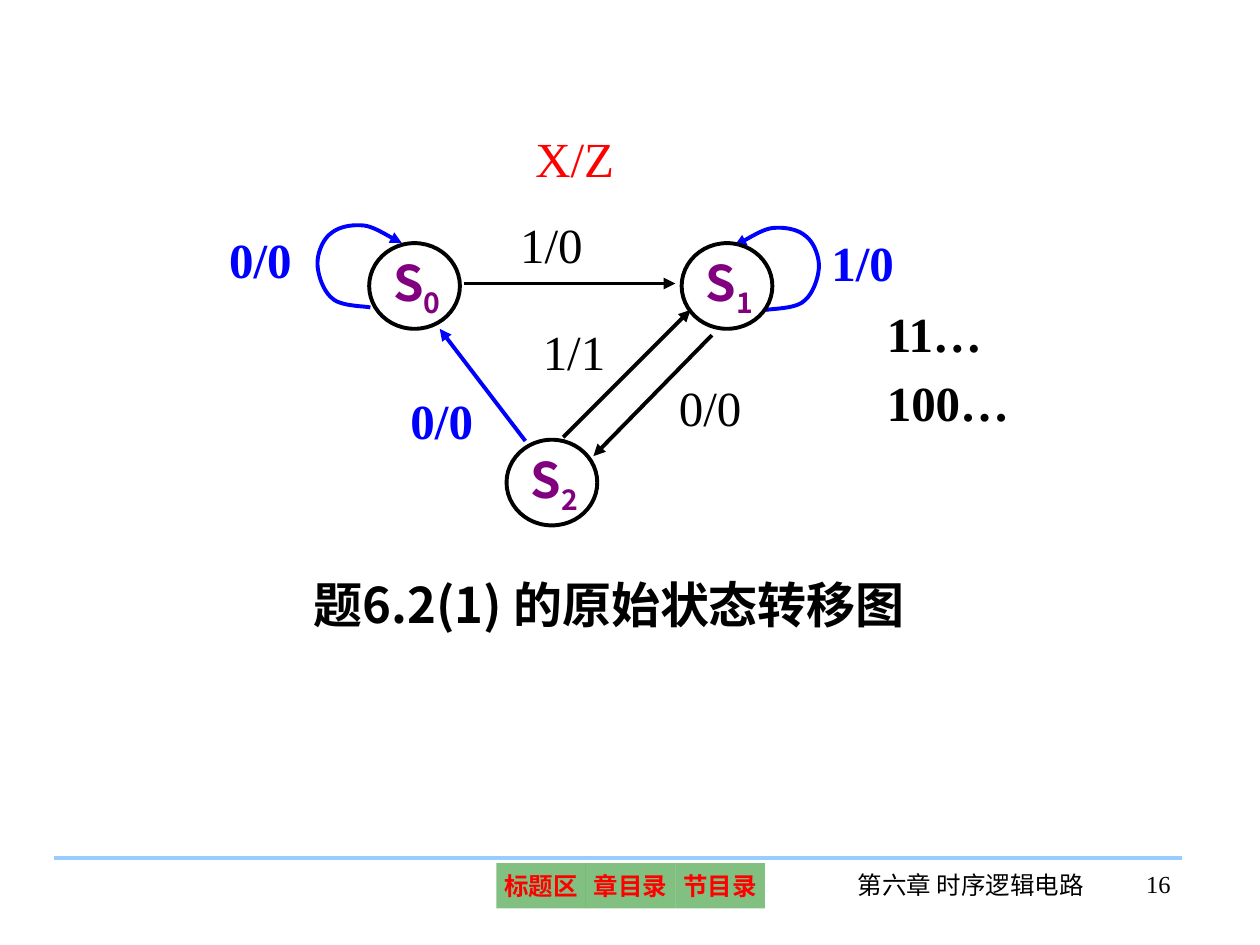
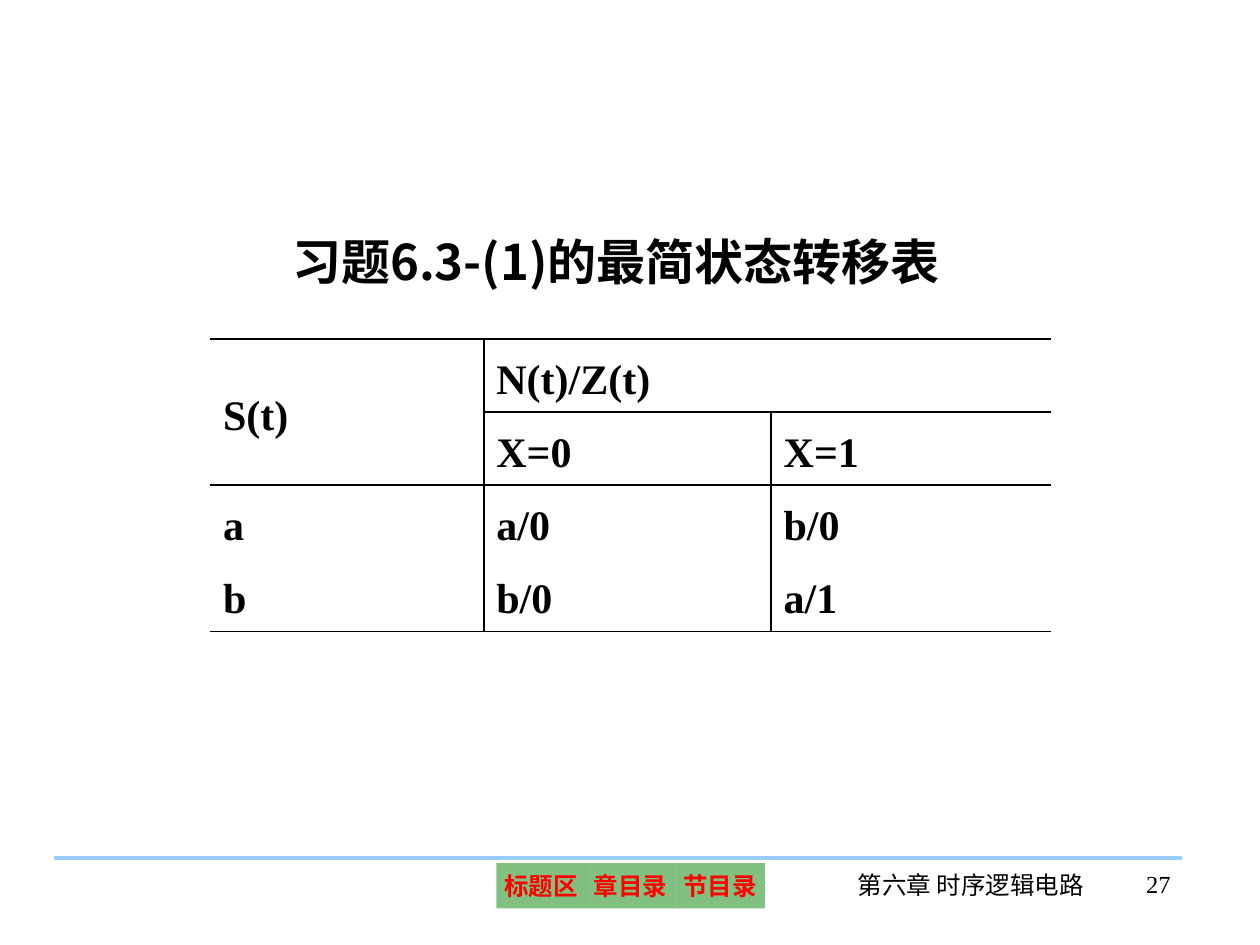
from lxml import etree
from pptx import Presentation
from pptx.dml.color import RGBColor
from pptx.enum import shapes, text
from pptx.oxml.ns import qn
from pptx.util import Inches, Pt

BLACK = RGBColor(0, 0, 0)
BLUE = RGBColor(0, 0, 255)
RED = RGBColor(255, 0, 0)
PURPLE = RGBColor(128, 0, 128)
GREEN = RGBColor(0, 128, 0)
SKY = RGBColor(0x99, 0xCC, 0xFF)
SERIF, SANS = "Times New Roman", "Noto Sans CJK SC"

CHAPTER = "第六章 时序逻辑电路"
BUTTONS = ["标题区", "章目录", "节目录"]

DIAGRAM_TITLE = "题6.2(1) 的原始状态转移图"
STATES = [("0", 2.93, 1.93), ("1", 5.41, 1.93), ("2", 4.02, 3.49)]
TRANSITIONS = [  # start, end, colour
    ((3.68, 2.25), (5.36, 2.25), BLACK),
    ((5.65, 2.66), (4.71, 3.62), BLACK),
    ((4.47, 3.47), (5.48, 2.46), BLACK),
    ((4.17, 3.5), (3.49, 2.61), BLUE),
]
LABELS = [  # wording, left, top, width, colour, bold
    ("X/Z", 4.15, 0.97, 0.96, RED, False),
    ("1/0", 4.03, 1.65, 0.77, BLACK, False),
    ("1/1", 4.21, 2.5, 0.77, BLACK, False),
    ("0/0", 5.29, 2.95, 0.77, BLACK, False),
    ("0/0", 1.72, 1.77, 0.77, BLUE, True),
    ("1/0", 6.5, 1.8, 0.77, BLUE, True),
    ("0/0", 3.16, 3.05, 0.77, BLUE, True),
    ("11…", 6.94, 2.36, 1.57, BLACK, True),
    ("100…", 6.94, 2.91, 1.63, BLACK, True),
]
# Cubic curve: a start point, then two control points and an end point per piece
LOOP_S0 = [
    (2.94, 2.44), (2.89, 2.43), (2.7, 2.43), (2.64, 2.37),
    (2.57, 2.32), (2.52, 2.18), (2.52, 2.09),
    (2.52, 2.01), (2.56, 1.9), (2.63, 1.85),
    (2.69, 1.8), (2.79, 1.78), (2.89, 1.79),
    (2.98, 1.8), (3.12, 1.9), (3.19, 1.93),
]
LOOP_S1 = [(9.02 - x, y + 0.02) for x, y in LOOP_S0]

TABLE_TITLE = "习题6.3-(1)的最简状态转移表"
STATE_TABLE = [
    ["S(t)", "N(t)/Z(t)", ""],
    ["", "X=0", "X=1"],
    ["a", "a/0", "b/0"],
    ["b", "b/0", "a/1"],
]
COLUMN_WIDTHS = [2.17, 2.28, 2.22]
ROW_HEIGHT = 0.58
NO_GRID_STYLE = "{2D5ABB26-0587-4C30-8999-92F81FD0307C}"


def box(*lengths):
    return [Inches(length) for length in lengths]


def format_runs(paragraph, size, color, bold=False, latin=SERIF):
    for run in paragraph.runs:
        run.font.size, run.font.bold = Pt(size), bold
        run.font.color.rgb = color
        run.font.name = latin
        etree.SubElement(run._r.get_or_add_rPr(), qn("a:ea"), typeface=SANS)


def set_insets(frame, left, top, right, bottom):
    frame.margin_left, frame.margin_top = Inches(left), Inches(top)
    frame.margin_right, frame.margin_bottom = Inches(right), Inches(bottom)


def add_label(slide, wording, place, size, color, bold=False, align=text.PP_ALIGN.LEFT):
    frame = slide.shapes.add_textbox(*box(*place)).text_frame
    frame.word_wrap = True
    frame.text = wording
    frame.paragraphs[0].alignment = align
    format_runs(frame.paragraphs[0], size, color, bold)


def style_line(shape, color, arrow=False):
    shape.line.color.rgb = color
    shape.line.width = Pt(2.25)
    if arrow:
        etree.SubElement(shape.line._get_or_add_ln(), qn("a:tailEnd"), type="triangle")


def add_straight(slide, start, end, color, arrow=False):
    line = slide.shapes.add_connector(
        shapes.MSO_CONNECTOR.STRAIGHT, *box(*start, *end))
    style_line(line, color, arrow)
    etree.SubElement(line._element.spPr, qn("a:effectLst"))


def curve_points(curve, steps=12):
    """Points along a chain of cubic Bezier pieces, without its start."""
    points = []
    for first in range(0, len(curve) - 1, 3):
        piece = curve[first:first + 4]
        for step in range(1, steps + 1):
            t = step / steps
            weights = ((1 - t) ** 3, 3 * t * (1 - t) ** 2, 3 * t * t * (1 - t), t ** 3)
            points.append(tuple(
                Inches(sum(w * p[axis] for w, p in zip(weights, piece)))
                for axis in (0, 1)))
    return points


def add_loop(slide, curve):
    builder = slide.shapes.build_freeform(*box(*curve[0]))
    builder.add_line_segments(curve_points(curve), close=False)
    loop = builder.convert_to_shape()
    loop.shadow.inherit = False
    loop.fill.background()
    style_line(loop, BLUE, arrow=True)


def add_state(slide, index, left, top):
    state = slide.shapes.add_shape(
        shapes.MSO_SHAPE.OVAL, *box(left, top, 0.72, 0.68))
    state.shadow.inherit = False
    state.fill.background()
    style_line(state, BLACK)
    frame = state.text_frame
    set_insets(frame, 0.04, 0, 0, 0)
    frame.word_wrap = False
    frame.vertical_anchor = text.MSO_ANCHOR.MIDDLE
    paragraph = frame.paragraphs[0]
    paragraph.alignment = text.PP_ALIGN.CENTER
    for part in ("S", index):
        paragraph.add_run().text = part
    format_runs(paragraph, 28, PURPLE, True, SANS)
    paragraph.runs[1].font._element.set("baseline", "-25000")


def add_button(slide, wording, left):
    button = slide.shapes.add_shape(
        shapes.MSO_SHAPE.ACTION_BUTTON_CUSTOM, *box(left, 6.85, 0.71, 0.36))
    button.shadow.inherit = False
    button.fill.solid()
    button.fill.fore_color.rgb = GREEN
    fill_color = button._element.spPr.find(qn("a:solidFill"))[0]
    etree.SubElement(fill_color, qn("a:alpha"), val="49000")
    button.line.fill.background()
    frame = button.text_frame
    set_insets(frame, 0.04, 0.04, 0.04, 0.04)
    frame.word_wrap = False
    frame.vertical_anchor = text.MSO_ANCHOR.MIDDLE
    frame.text = wording
    frame.paragraphs[0].alignment = text.PP_ALIGN.CENTER
    format_runs(frame.paragraphs[0], 14, RED, True)


def add_page(prs, title, title_place, number):
    """New slide with its title and the shared footer."""
    slide = prs.slides.add_slide(prs.slide_layouts[5])
    heading = slide.shapes.title
    heading.left, heading.top, heading.width, heading.height = box(*title_place)
    frame = heading.text_frame
    frame.text = title
    set_insets(frame, 0.1, 0.05, 0.1, 0.05)
    frame.vertical_anchor = text.MSO_ANCHOR.TOP
    frame.auto_size = text.MSO_AUTO_SIZE.NONE
    frame.paragraphs[0].alignment = text.PP_ALIGN.LEFT
    format_runs(frame.paragraphs[0], 28, BLACK, True, SANS)

    add_straight(slide, (0.43, 6.81), (9.38, 6.81), SKY)
    for position, wording in enumerate(BUTTONS):
        add_button(slide, wording, 3.94 + 0.71 * position)
    add_label(slide, CHAPTER, (6.66, 6.86, 2.09, 0.5), 14, BLACK,
              align=text.PP_ALIGN.CENTER)
    add_label(slide, str(number), (8.53, 6.85, 0.86, 0.5), 14, BLACK,
              align=text.PP_ALIGN.RIGHT)
    return slide


def rule_above(row, column):
    return row in (0, 2, 4) or (row == 1 and column > 0)


def rule_left(row, column):
    return column == 1 or (column == 2 and row > 0)


def draw_borders(cell, row, column):
    sides = {
        "a:lnL": rule_left(row, column),
        "a:lnR": rule_left(row, column + 1),
        "a:lnT": rule_above(row, column),
        "a:lnB": rule_above(row + 1, column),
    }
    properties = cell._tc.get_or_add_tcPr()
    for tag, ruled in sides.items():
        border = etree.SubElement(properties, qn(tag), w=str(Pt(1.08)))
        if ruled:
            fill = etree.SubElement(border, qn("a:solidFill"))
            etree.SubElement(fill, qn("a:srgbClr"), val=str(BLACK))
        else:
            etree.SubElement(border, qn("a:noFill"))


def add_state_table(slide):
    rows, columns = len(STATE_TABLE), len(COLUMN_WIDTHS)
    table = slide.shapes.add_table(rows, columns, *box(
        1.67, 2.69, sum(COLUMN_WIDTHS), ROW_HEIGHT * rows)).table
    table.first_row = table.horz_banding = False
    table._tbl.tblPr.find(qn("a:tableStyleId")).text = NO_GRID_STYLE
    for column, width in zip(table.columns, COLUMN_WIDTHS):
        column.width = Inches(width)
    for row, wordings in enumerate(STATE_TABLE):
        table.rows[row].height = Inches(ROW_HEIGHT)
        for column, wording in enumerate(wordings):
            cell = table.cell(row, column)
            draw_borders(cell, row, column)
            cell.fill.background()
            cell.vertical_anchor = text.MSO_ANCHOR.MIDDLE
            cell.text = wording
            paragraph = cell.text_frame.paragraphs[0]
            paragraph.line_spacing = 1.2
            format_runs(paragraph, 24, BLACK, True)
    table.cell(0, 0).merge(table.cell(1, 0))
    table.cell(0, 1).merge(table.cell(0, 2))


def main():
    prs = Presentation()
    prs.slide_width, prs.slide_height = Inches(10), Inches(7.5)

    diagram = add_page(prs, DIAGRAM_TITLE, (2.39, 4.51, 5.52, 0.57), 16)
    for loop in (LOOP_S0, LOOP_S1):
        add_loop(diagram, loop)
    for state in STATES:
        add_state(diagram, *state)
    for start, end, color in TRANSITIONS:
        add_straight(diagram, start, end, color, arrow=True)
    for wording, left, top, width, color, bold in LABELS:
        add_label(diagram, wording, (left, top, width, 0.57), 28, color, bold)

    add_state_table(add_page(prs, TABLE_TITLE, (2.22, 1.79, 5.57, 0.57), 27))
    prs.save("out.pptx")


if __name__ == "__main__":
    main()
